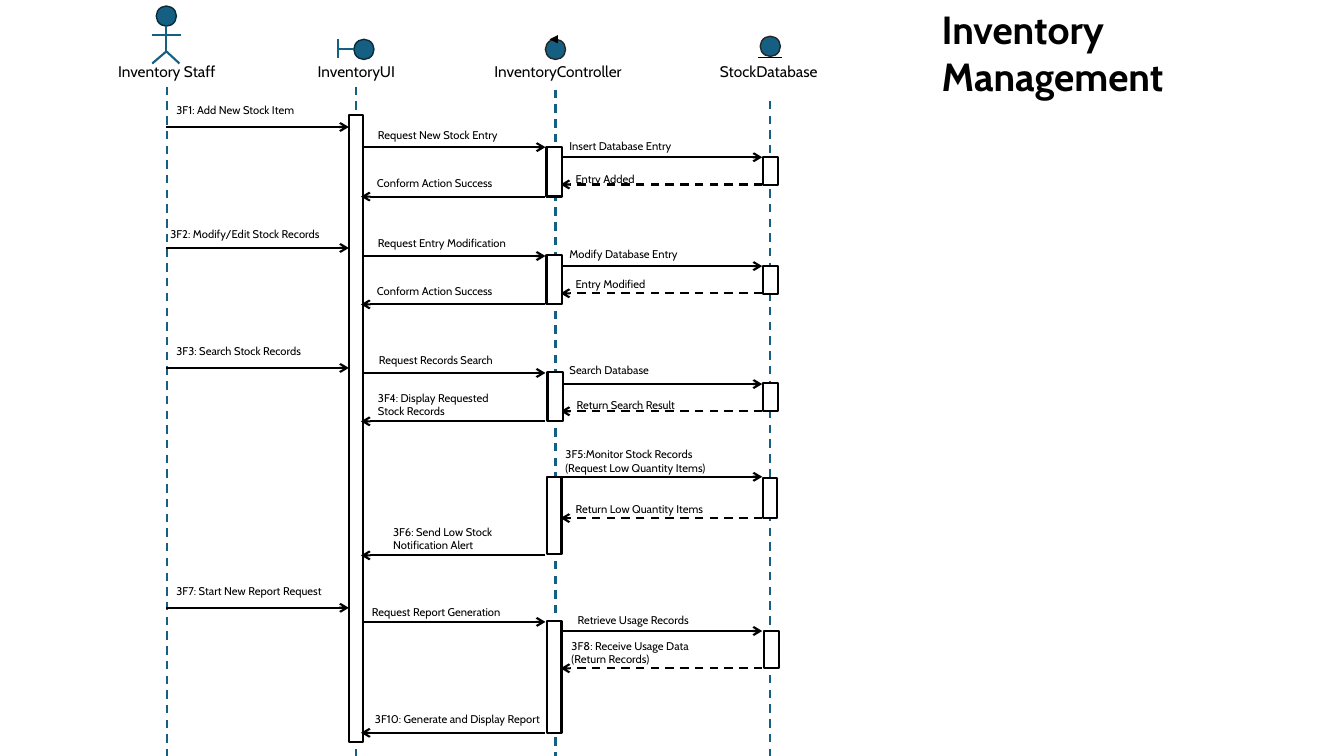
from pptx import Presentation
from pptx.dml.color import RGBColor as RGB
from pptx.enum.dml import MSO_LINE as Dash
from pptx.enum.shapes import MSO_CONNECTOR as Conn, MSO_SHAPE as Form
from pptx.enum.text import MSO_ANCHOR as Anchor, MSO_AUTO_SIZE as Fit, PP_ALIGN as Align
from pptx.oxml.ns import qn
from pptx.util import Emu, Pt
from lxml.etree import SubElement

SCALE = 9144
WIDE, HIGH = 1333, 750
TEAL, BLACK, WHITE = "156082", "000000", "FFFFFF"
FONT = "Cabin"

TITLE = ("Inventory Management", (924, 0, 373, 104))

ACTORS = [
    {"name": "Inventory Staff", "box": (105, 121), "life": (166, 86),
     "head": (155, 6), "edge": "092A39",
     "limbs": [(165, 26, 165, 53), (180, 35, 151, 35),
               (165, 51, 178, 63), (151, 63, 165, 51)]},
    {"name": "InventoryUI", "box": (295, 117), "life": (353, 86),
     "head": (351, 39), "edge": "092A39",
     "limbs": [(351, 49, 335, 49), (335, 58, 335, 39)]},
    {"name": "InventoryController", "box": (474, 159), "life": (551, 89),
     "head": (541, 39), "edge": "262626",
     "limbs": [(551, 39, 545, 39)], "ink": BLACK, "tip": "triangle"},
    {"name": "StockDatabase", "box": (683, 159), "life": (764, 100),
     "head": (754, 36), "edge": "262626",
     "limbs": [(752, 57, 776, 57)], "ink": BLACK, "size": 1},
]

ROUTES = {
    "start": (165, 346, None),
    "ask": (359, 541, None),
    "query": (556, 756, None),
    "reply": (756, 556, Dash.DASH),
    "done": (541, 358, None),
}

CALLS = [
    ("start", 126, "3F1: Add New Stock Item", (165, 98, 181, 24)),
    ("ask", 146, "Request New Stock Entry", (365, 122, 168, 24)),
    ("query", 156, "Insert Database Entry", (555, 133, 174, 24)),
    ("reply", 183, "Entry Added", (561, 166, 94, 24)),
    ("done", 195, "Conform Action Success", (364, 170, 174, 24)),
    ("start", 246, "3F2: Modify/Edit Stock Records", (159, 221, 202, 24)),
    ("ask", 254, "Request Entry Modification", (365, 230, 168, 24)),
    ("query", 264, "Modify Database Entry", (555, 240, 174, 24)),
    ("reply", 291, "Entry Modified", (561, 270, 94, 24)),
    ("done", 302, "Conform Action Success", (364, 277, 174, 24)),
    ("start", 365, "3F3: Search Stock Records", (165, 337, 181, 24)),
    ("ask", 370, "Request Records Search", (366, 346, 168, 24)),
    ("query", 381, "Search Database", (555, 356, 174, 24)),
    ("reply", 408, "Return Search Result", (562, 390, 157, 24)),
    ("done", 418, "3F4: Display Requested Stock Records", (365, 383, 150, 37)),
    ("query", 473, "3F5:Monitor Stock Records (Request Low Quantity Items)",
     (551, 439, 182, 37)),
    ("reply", 514, "Return Low Quantity Items", (561, 493, 150, 24)),
    ("done", 551, "3F6: Send Low Stock Notification Alert", (380, 516, 162, 37)),
    ("start", 603, "3F7: Start New Report Request", (165, 575, 181, 24)),
    ("ask", 617, "Request Report Generation", (359, 596, 183, 24)),
    ("query", 626, "Retrieve Usage Records", (563, 604, 183, 24)),
    ("reply", 663, "3F8: Receive Usage Data (Return Records)", (557, 629, 166, 37)),
    ("done", 727, "3F10: Generate and Display Report", (362, 702, 189, 24)),
]

MAIN = (346, 114, 14, 622)
BARS = [
    (542, 146, 15, 49), (757, 156, 15, 28),
    (542, 253, 15, 49), (757, 264, 15, 28),
    (543, 369, 15, 49), (757, 380, 15, 28),
    (543, 473, 14, 77), (757, 474, 14, 40),
    (543, 616, 14, 111), (758, 626, 15, 37),
]


def px(*nums):
    return [Emu(n * SCALE) for n in nums]


def hue(code):
    return RGB.from_string(code)


def style(obj, fmt):
    for key, val in fmt.items():
        setattr(obj, key, val)


def write(shape, text, size, bold=False, align=Align.LEFT):
    frame = shape.text_frame
    frame.text = text
    style(frame, {"word_wrap": True, "auto_size": Fit.SHAPE_TO_FIT_TEXT,
                  "vertical_anchor": Anchor.TOP})
    para = frame.paragraphs[0]
    para.alignment = align
    font = para.runs[0].font
    style(font, {"name": FONT, "size": Pt(size), "bold": bold})
    font.color.rgb = hue(BLACK)


def label(text, box, size, align=Align.LEFT):
    write(slide.shapes.add_textbox(*px(*box)), text, size, align=align)


def block(shapes, form, box, fill, edge, size):
    shape = shapes.add_shape(form, *px(*box))
    shape.shadow.inherit = False
    shape.fill.solid()
    shape.fill.fore_color.rgb = hue(fill)
    shape.line.color.rgb = hue(edge)
    shape.line.width = Pt(size)


def stroke(shapes, ends, ink, size=1.5, dash=None, tip=None):
    conn = shapes.add_connector(Conn.STRAIGHT, *px(*ends))
    conn.line.color.rgb = hue(ink)
    style(conn.line, {"width": Pt(size), "dash_style": dash})
    props = conn.element.spPr
    if tip:
        SubElement(props.find(qn("a:ln")), qn("a:tailEnd")).set("type", tip)
    SubElement(props, qn("a:effectLst"))


def bar(box):
    block(slide.shapes, Form.RECTANGLE, box, WHITE, BLACK, 1.5)


deck = Presentation()
style(deck, dict(zip(("slide_width", "slide_height"), px(WIDE, HIGH))))
slide = deck.slides.add_slide(deck.slide_layouts[5])

text, box = TITLE
title = slide.shapes.title
style(title, dict(zip(("left", "top", "width", "height"), px(*box))))
write(title, text, 28, bold=True)

for actor in ACTORS:
    x, top = actor["life"]
    stroke(slide.shapes, (x, top, x, HIGH), TEAL, dash=Dash.DASH)
    icon = slide.shapes.add_group_shape().shapes
    block(icon, Form.OVAL, (*actor["head"], 20, 20), TEAL, actor["edge"], 1)
    for limb in actor["limbs"]:
        stroke(icon, limb, actor.get("ink", TEAL), actor.get("size", 1.5),
               tip=actor.get("tip"))
    left, width = actor["box"]
    label(actor["name"], (left, 57, width, 29), 11, Align.CENTER)

bar(MAIN)
for kind, y, text, box in CALLS:
    start, end, dash = ROUTES[kind]
    stroke(slide.shapes, (start, y, end, y), BLACK, dash=dash, tip="arrow")
    label(text, box, 8)
for box in BARS:
    bar(box)

deck.save("out.pptx")
